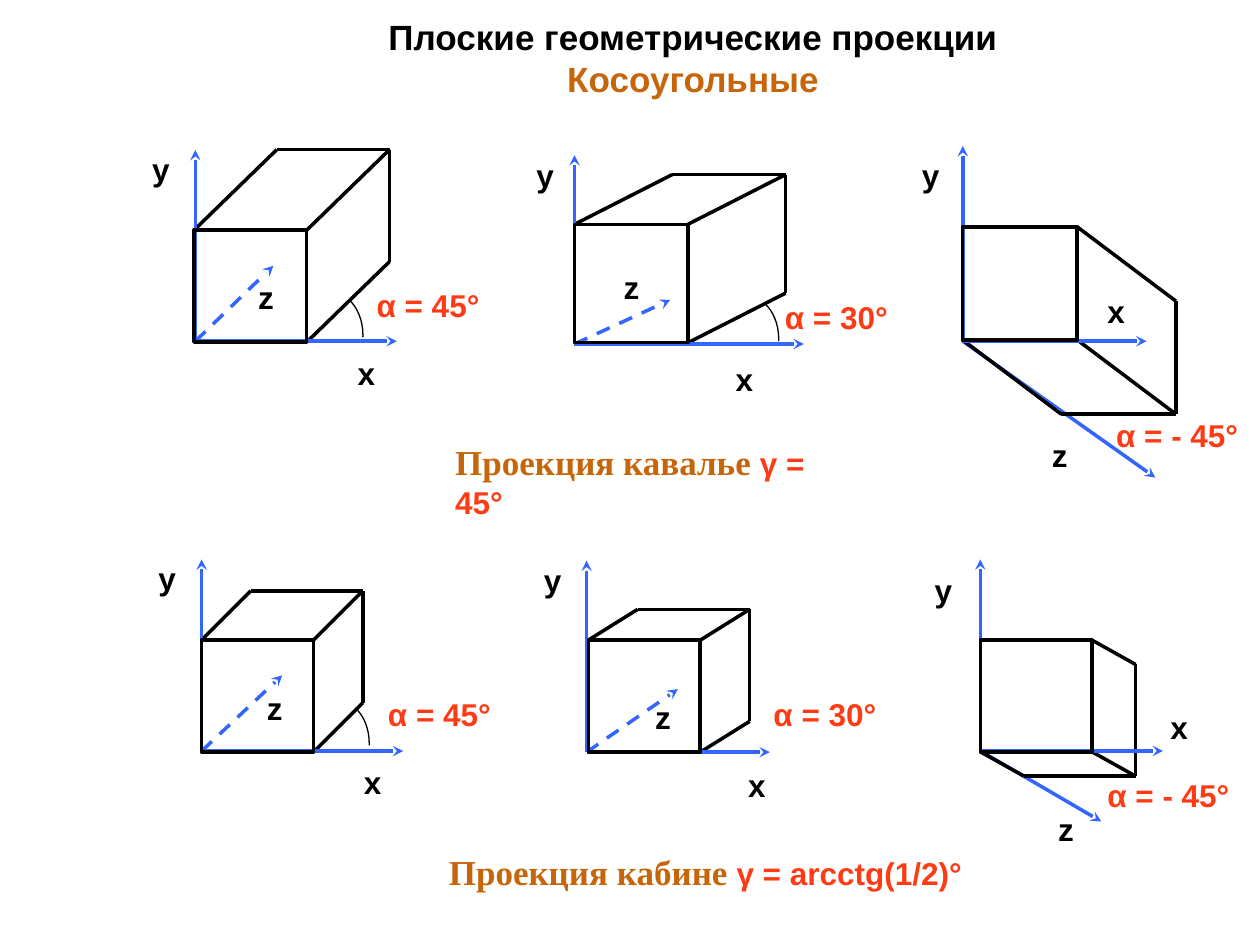
import pptx
import pptx.util
import pptx.dml.color
import pptx.enum.dml
import pptx.enum.shapes
import pptx.enum.text
import pptx.oxml.ns
import lxml.etree

Pt = pptx.util.Pt
BLACK = pptx.dml.color.RGBColor(0x00, 0x00, 0x00)
BLUE = pptx.dml.color.RGBColor(0x33, 0x66, 0xFF)
BROWN = pptx.dml.color.RGBColor(0xC7, 0x65, 0x0B)
RED = pptx.dml.color.RGBColor(0xFD, 0x3C, 0x15)
SHAPE = pptx.enum.shapes.MSO_SHAPE
SANS, SERIF = "Arial", "Times New Roman"

deck = pptx.Presentation()
deck.slide_width, deck.slide_height = Pt(720), Pt(540)
slide = deck.slides.add_slide(deck.slide_layouts[5])
shapes = slide.shapes


def draw(start, end, color, arrow=False, dash=False):
    line = shapes.add_connector(
        pptx.enum.shapes.MSO_CONNECTOR.STRAIGHT,
        *[Pt(value) for value in (*start, *end)])
    line.line.color.rgb = color
    line.line.width = Pt(2)
    if dash:
        line.line.dash_style = pptx.enum.dml.MSO_LINE.DASH
    if arrow:
        tail = lxml.etree.SubElement(
            line.line._get_or_add_ln(), pptx.oxml.ns.qn("a:tailEnd"))
        tail.set("type", "stealth")
    lxml.etree.SubElement(
        line._element.spPr, pptx.oxml.ns.qn("a:effectLst"))


def write(frame, runs, form):
    for name, value in form.items():
        setattr(frame, name, value)
    para = frame.paragraphs[0]
    for index, (text, size, font, color) in enumerate(runs):
        if index and frame.vertical_anchor:
            para.add_line_break()
        run = para.add_run()
        run.text = text
        look = {"size": Pt(size), "name": font, "bold": True}
        for name, value in look.items():
            setattr(run.font, name, value)
        run.font.color.rgb = color
    return para


title = shapes.title
place = {"left": Pt(72), "top": Pt(-2), "width": Pt(648), "height": Pt(70)}
for name, value in place.items():
    setattr(title, name, value)
head = write(
    title.text_frame,
    [("Плоские геометрические проекции", 20, SANS, BLACK),
     ("Косоугольные", 20, SANS, BROWN)],
    {"word_wrap": True, "auto_size": pptx.enum.text.MSO_AUTO_SIZE.NONE,
     "vertical_anchor": pptx.enum.text.MSO_ANCHOR.MIDDLE})
head.alignment = pptx.enum.text.PP_ALIGN.CENTER

# left, top, width, height | depth | origin | x tip, y tip, z tip
cubes = [
    ((110.9, 131.5, 64.4, 64), (47.3, -46), (111.6, 195),
     226.8, 85.7, (156.2, 151.9)),
    ((328.3, 128.2, 64.8, 67.7), (55.8, -28.4), (328.3, 196.6),
     459.4, 88.6, (383, 171.4)),
    ((550, 129.6, 65.5, 64.6), (56.5, 42.5), (550.2, 195),
     655.2, 83.5, (660.2, 272.9)),
    ((115.2, 365.8, 64, 64), (28.2, -28.2), (115.2, 429.2),
     230.4, 319.7, (161.3, 385.9)),
    ((336.2, 365.8, 64, 64), (28.2, -17.6), (335.2, 429.8),
     439.9, 320.4, (387.4, 393.8)),
    ((560.2, 365.8, 63.8, 63.8), (24.9, 13.9), (560.2, 429.1),
     664.6, 319.7, (629.3, 469.4)),
]
for (left, top, width, height), (run, rise), base, across, peak, far in cubes:
    right, foot = left + width, top + height
    back = right + run
    up = rise < 0
    edge = top if up else foot
    draw(base, far, BLUE, arrow=True, dash=up)
    for x, y in ((right, top), (right, foot), (left, edge)):
        draw((x, y), (x + run, y + rise), BLACK)
    draw((back, top + rise), (back, foot + rise), BLACK)
    draw((left + run, edge + rise), (back, edge + rise), BLACK)
    draw(base, (across, base[1]), BLUE, arrow=True)
    draw(base, (base[0], peak), BLUE, arrow=True)
    face = shapes.add_shape(
        SHAPE.RECTANGLE, Pt(left), Pt(top), Pt(width), Pt(height))
    face.shadow.inherit = False
    face.fill.background()
    face.line.color.rgb = BLACK
    face.line.width = Pt(2)

for x, y in ((190.1, 191.5), (427.7, 193.7), (193.7, 424.8)):
    arc = shapes.add_shape(
        SHAPE.ARC, Pt(x - 17.3), Pt(y - 24), Pt(34.6), Pt(48))
    arc.adjustments[0], arc.adjustments[1] = 295 * 0.6, 4 * 0.6
    arc.shadow.inherit = False
    arc.fill.background()
    arc.line.color.rgb = BLACK
    arc.line.width = Pt(0.75)

marks = {
    ("y", 24.5, BLACK): [(79.9, 82.1), (299.5, 85.7), (519.8, 85.7),
                         (83.5, 316.1), (303.8, 316.8), (527, 322.6)],
    ("x", 24.5, BLACK): [(197.3, 198.7), (413.3, 202.3), (625.7, 163.4),
                         (200.9, 432.7), (420.5, 434.2), (661.7, 401)],
    ("z", 23, BLACK): [(140.4, 155.5), (349.2, 149.8), (594, 245.5),
                       (145.4, 390.2), (367.2, 395.3), (597.6, 459.4)],
    ("α = 45°", 73.4, RED): [(208.1, 159.8), (214.6, 393.8)],
    ("α = 30°", 73.4, RED): [(441.4, 167), (434.9, 393.8)],
    ("α = - 45°", 84.2, RED): [(630.7, 234), (625.7, 439.9)],
}
for (text, width, color), spots in marks.items():
    for x, y in spots:
        box = shapes.add_textbox(Pt(x), Pt(y), Pt(width), Pt(28.8))
        write(box.text_frame, [(text, 18, SANS, color)], {"word_wrap": False})

notes = [
    (253, 248.4, 246, "Проекция кавалье ", "γ = 45°"),
    (249.4, 482.4, 307.5, "Проекция кабине ", "γ = arcctg(1/2)°"),
]
for x, y, width, text, angle in notes:
    box = shapes.add_textbox(Pt(x), Pt(y), Pt(width), Pt(31.7))
    write(box.text_frame,
          [(text, 20, SERIF, BROWN), (angle, 18, SANS, RED)],
          {"word_wrap": False})

deck.save("out.pptx")
